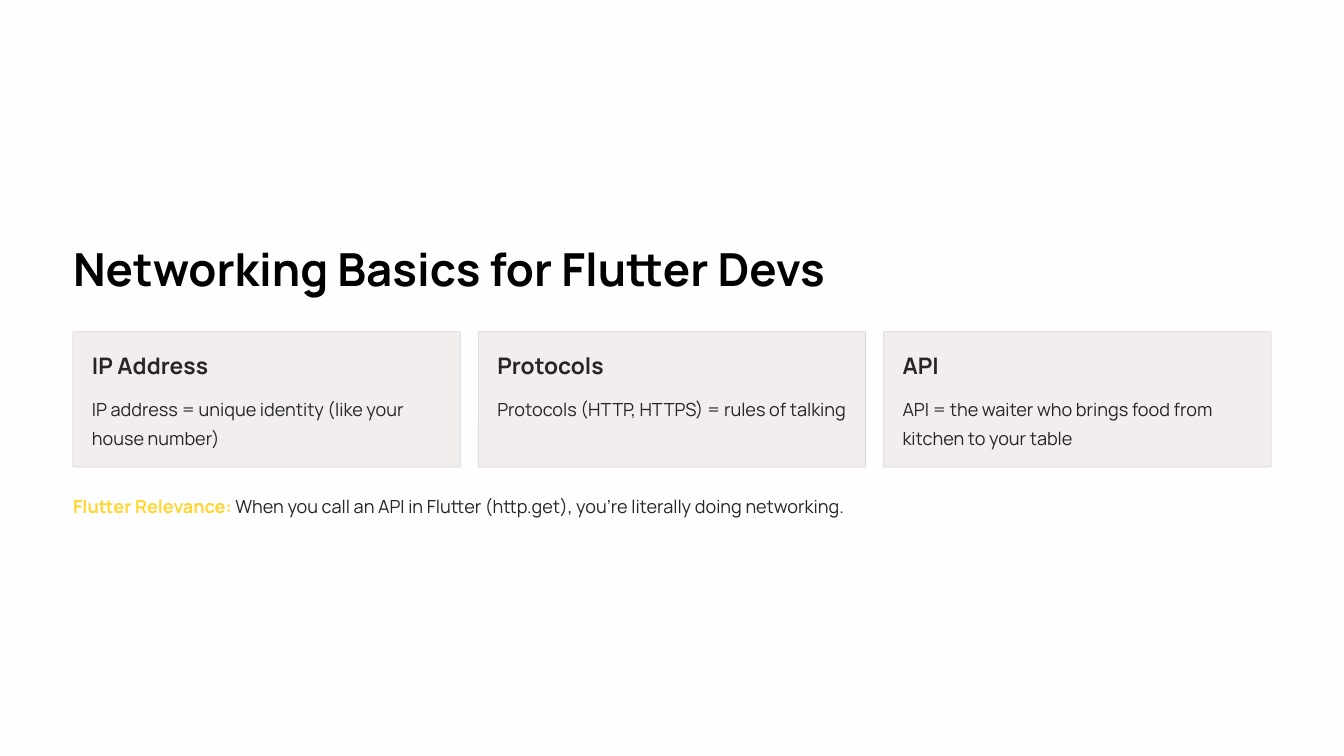
from pptx import Presentation
from pptx.dml.color import RGBColor
from pptx.enum import shapes
from pptx.util import Inches, Pt

INK = "272525"
LEFT = 0.87
CARD_TOP, CARD_WIDTH, CARD_HEIGHT = 3.95, 4.61, 1.61
CARD_STEP = 4.825
PADDING = 0.225


def rgb(value):
    return RGBColor.from_string(value)


def add_text(slide, box, runs, size, line_height, wrap=False):
    """Add one paragraph; runs are (text, colour, bold)."""
    frame = slide.shapes.add_textbox(*map(Inches, box)).text_frame
    frame.margin_left = frame.margin_right = 0
    frame.margin_top = frame.margin_bottom = 0
    frame.word_wrap = wrap
    line = frame.paragraphs[0]
    line.line_spacing = Pt(line_height)
    line.font.name = "Manrope"
    line.font.size = Pt(size)
    for words, colour, bold in runs:
        run = line.add_run()
        run.text = words
        run.font.color.rgb = rgb(colour)
        run.font.bold = bold


deck = Presentation()
deck.slide_width, deck.slide_height = Inches(16), Inches(9)
slide = deck.slides.add_slide(deck.slide_layouts[6])
slide.background.fill.solid()
slide.background.fill.fore_color.rgb = rgb("FEFEFE")

# Title
add_text(slide, (LEFT, 2.84, 9.49, 0.68),
         [("Networking Basics for Flutter Devs", "000000", True)], 39, 48.5)

# Concept cards
concepts = [
    ("IP Address", "IP address = unique identity (like your house number)"),
    ("Protocols", "Protocols (HTTP, HTTPS) = rules of talking"),
    ("API", "API = the waiter who brings food from kitchen to your table"),
]
for index, (concept, meaning) in enumerate(concepts):
    card_left = LEFT + index * CARD_STEP
    card = slide.shapes.add_shape(
        shapes.MSO_SHAPE.ROUNDED_RECTANGLE, Inches(card_left), Inches(CARD_TOP),
        Inches(CARD_WIDTH), Inches(CARD_HEIGHT))
    card.adjustments[0] = 0.006
    card.shadow.inherit = False
    card.fill.solid()
    card.fill.fore_color.rgb = rgb("F2EEEE")
    card.line.color.rgb = rgb("D8D4D4")
    card.line.width = Pt(0.6)

    text_left = card_left + PADDING
    add_text(slide, (text_left, 4.18, 2.71, 0.34),
             [(concept, INK, True)], 19.5, 24)
    add_text(slide, (text_left, 4.65, CARD_WIDTH - 2 * PADDING, 0.69),
             [(meaning, INK, False)], 15.5, 25, wrap=True)

# Relevance note
add_text(slide, (LEFT, 5.81, 14.26, 0.35),
         [("Flutter Relevance:", "FFD634", True),
          (" When you call an API in Flutter (http.get), "
           "you're literally doing networking.", INK, False)], 15.5, 25)

deck.save("out.pptx")
